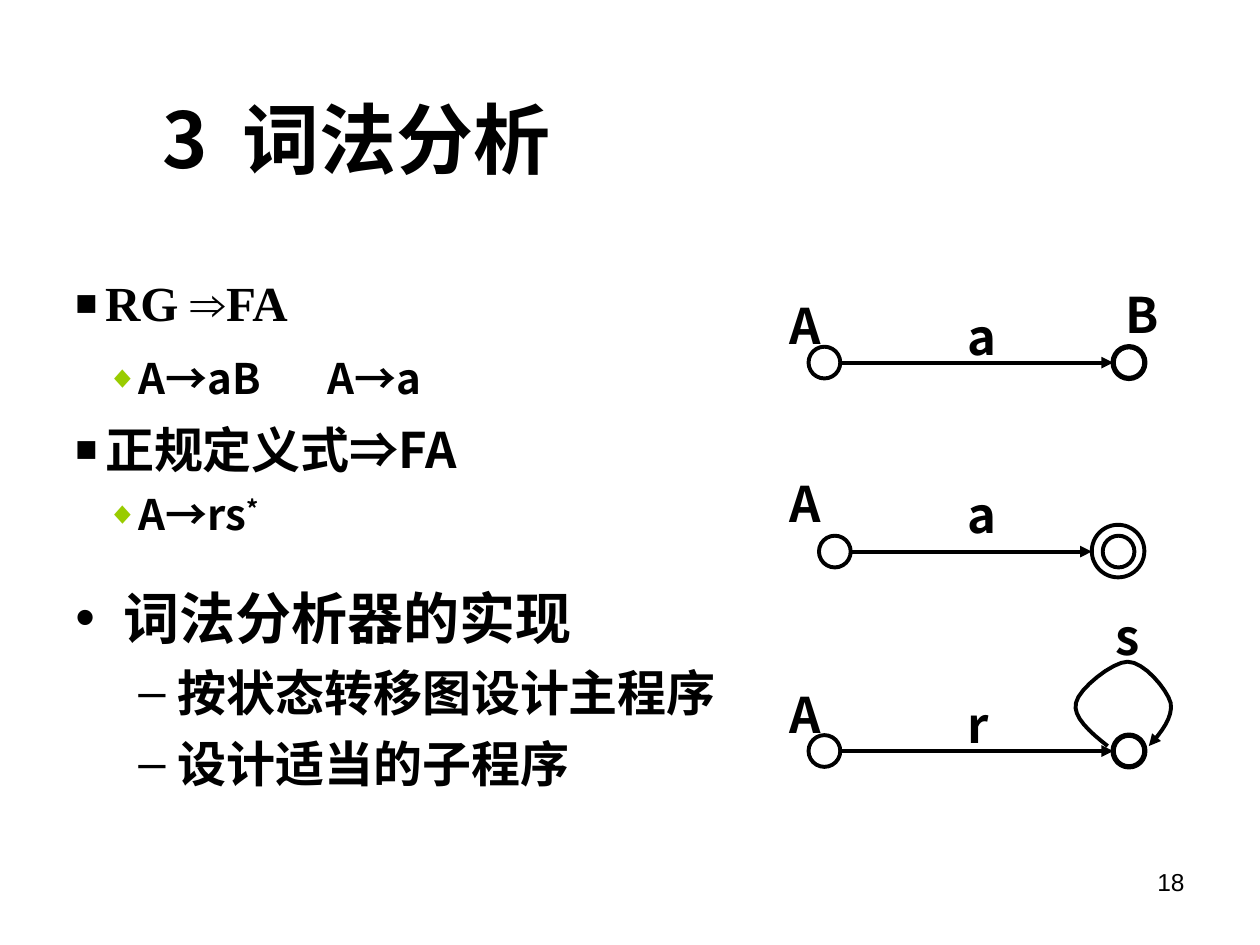
from lxml import etree
from pptx import Presentation
from pptx.dml.color import RGBColor
from pptx.enum.shapes import MSO_CONNECTOR, MSO_SHAPE
from pptx.enum.text import MSO_ANCHOR, MSO_AUTO_SIZE, PP_ALIGN
from pptx.oxml.ns import qn
from pptx.util import Cm, Pt

STRAIGHT = MSO_CONNECTOR.STRAIGHT
OVAL = MSO_SHAPE.OVAL
MIDDLE = MSO_ANCHOR.MIDDLE
GROW, FIXED = MSO_AUTO_SIZE.SHAPE_TO_FIT_TEXT, MSO_AUTO_SIZE.NONE
LEFT, CENTER, RIGHT = PP_ALIGN.LEFT, PP_ALIGN.CENTER, PP_ALIGN.RIGHT

COLOURS = {"ink": "000000", "diamond": "99CC00"}
JP, SC = "Noto Sans CJK JP", "Noto Sans CJK SC"
SERIF, SANS = "Times New Roman", "Arial"


def add_span(para, text, size, latin, asian, bold=True, **marks):
    span = para.add_run()
    span.text = text
    formats = {"size": Pt(size), "name": latin, "bold": bold}
    for name, value in formats.items():
        setattr(span.font, name, value)
    span.font.color.rgb = RGBColor.from_string(COLOURS["ink"])
    properties = span.font._element
    latin_tag = properties.find(qn("a:latin"))
    asian_tag = etree.Element(qn("a:ea"), typeface=asian)
    latin_tag.addnext(asian_tag)
    for name, value in marks.items():
        properties.set(name, value)


def draw_line(shape, width, arrow=False):
    shape.line.color.rgb = RGBColor.from_string(COLOURS["ink"])
    shape.line.width = Pt(width)
    if arrow:
        etree.SubElement(shape.line._get_or_add_ln(), qn("a:tailEnd"), type="triangle")


deck = Presentation()
deck.slide_width, deck.slide_height = Cm(25.4), Cm(19.05)
page = deck.slides.add_slide(deck.slide_layouts[5])

title = page.shapes.title
place = {"left": 1.27, "top": 2.01, "width": 11.84, "height": 1.55}
for name, value in place.items():
    setattr(title, name, Cm(value))
frame = title.text_frame
for name, value in {"word_wrap": True, "auto_size": FIXED, "vertical_anchor": MIDDLE}.items():
    setattr(frame, name, value)
frame.paragraphs[0].alignment = CENTER
add_span(frame.paragraphs[0], "3  词法分析", 44, JP, JP)

BULLETS = {
    "dot": ("•", "ink", 100, 0.97, -0.97),
    "dash": ("–", "ink", 100, 2.06, -0.79),
    "square": ("■", "ink", 75, 0.6, -0.6),
    "diamond": ("◆", "diamond", 75, 1.27, -0.64),
}
outlines = [
    (1.27, 11.63, 14.02, 6.15, 1, FIXED, [
        ("dot", 0, 0, [("词法分析器的实现", 32, JP, JP, {})]),
        ("dash", 1, 7, [("按状态转移图设计主程序", 28, JP, JP, {})]),
        ("dash", 1, 7, [("设计适当的子程序", 28, JP, JP, {})]),
    ]),
    (1.27, 8.46, 12.7, 2.57, 0.9, GROW, [
        ("square", 0, 0, [("正规定义式", 28, JP, JP, {}), ("⇒", 28, SANS, JP, {}),
                          ("FA", 28, SC, JP, {})]),
        ("diamond", 1, 9, [("A→rs", 24, SC, SC, {}),
                           ("*", 24, SC, SC, {"baseline": "30000"})]),
    ]),
    (1.27, 5.51, 12.7, 2.77, 0.9, GROW, [
        ("square", 0, 0, [("RG ", 28, SERIF, SERIF, {}), ("⇒", 28, SANS, SANS, {}),
                          ("FA", 28, SERIF, SERIF, {})]),
        ("diamond", 1, 15, [("A→aB", 24, SC, SC, {}), (" ", 24, SC, SC, {"spc": "3300"}),
                            ("A→a", 24, SC, SC, {})]),
    ]),
]
for left, top, width, height, spacing, sizing, rows in outlines:
    box = page.shapes.add_textbox(Cm(left), Cm(top), Cm(width), Cm(height))
    box.text_frame.word_wrap = True
    box.text_frame.auto_size = sizing
    for index, (bullet, level, before, spans) in enumerate(rows):
        para = box.text_frame.add_paragraph() if index else box.text_frame.paragraphs[0]
        formats = {"level": level, "alignment": LEFT, "line_spacing": spacing,
                   "space_before": Pt(before)}
        for name, value in formats.items():
            setattr(para, name, value)
        mark, colour, scale, margin, indent = BULLETS[bullet]
        properties = para._p.get_or_add_pPr()
        properties.set("marL", str(Cm(margin)))
        properties.set("indent", str(Cm(indent)))
        tint = etree.SubElement(properties, qn("a:buClr"))
        etree.SubElement(tint, qn("a:srgbClr"), val=COLOURS[colour])
        etree.SubElement(properties, qn("a:buSzPct"), val=str(scale * 1000))
        etree.SubElement(properties, qn("a:buFont"), typeface=SANS)
        etree.SubElement(properties, qn("a:buChar"), char=mark)
        for text, size, latin, asian, marks in spans:
            add_span(para, text, size, latin, asian, **marks)

STATE = 0.64
automata = [
    {"circles": [(16.3, 6.99, STATE, 2.25), (22.44, 6.99, STATE, 3)],
     "arrow": (16.94, 22.44, 7.31),
     "labels": [("A", 15.66, 5.72), ("B", 22.44, 5.5), ("a", 19.26, 5.93)]},
    {"circles": [(16.51, 10.8, STATE, 2.25), (22.23, 10.8, STATE, 2.25),
                 (22.01, 10.58, 1.06, 2.25)],
     "arrow": (17.15, 22.01, 11.12),
     "labels": [("A", 15.66, 9.31), ("a", 19.26, 9.53)]},
    {"circles": [(16.3, 14.82, STATE, 2.25), (22.44, 14.82, STATE, 3)],
     "arrow": (16.94, 22.44, 15.14),
     "labels": [("A", 15.66, 13.55), ("s", 22.23, 11.99), ("r", 19.26, 13.76)]},
]
for automaton in automata:
    group = page.shapes.add_group_shape()
    for left, top, size, weight in automaton["circles"]:
        circle = group.shapes.add_shape(OVAL, Cm(left), Cm(top), Cm(size), Cm(size))
        circle.shadow.inherit = False
        circle.fill.background()
        draw_line(circle, weight)
    start, end, height = automaton["arrow"]
    arrow = group.shapes.add_connector(STRAIGHT, Cm(start), Cm(height), Cm(end), Cm(height))
    draw_line(arrow, 2.25, arrow=True)
    etree.SubElement(arrow._element.spPr, qn("a:effectLst"))
    for text, left, top in automaton["labels"]:
        label = group.shapes.add_textbox(Cm(left), Cm(top), Cm(1.69), Cm(1.55))
        label.text_frame.word_wrap = True
        label.text_frame.auto_size = GROW
        label.text_frame.paragraphs[0].line_spacing = 1.1
        add_span(label.text_frame.paragraphs[0], text, 28, SC, SC)

STEPS = 8
loop_start = (22.33, 15.04)
loop_curves = [
    [(21.97, 14.76), (21.62, 14.45), (21.69, 14.17)],
    [(21.74, 13.89), (22.43, 13.34), (22.73, 13.34)],
    [(23.06, 13.34), (23.52, 13.89), (23.6, 14.17)],
    [(23.65, 14.45), (23.42, 14.76), (23.16, 15.04)],
]
points = []
corner = loop_start
for curve in loop_curves:
    controls = [corner, *curve]
    for step in range(1, STEPS + 1):
        t = step / STEPS
        weights = [(1 - t) ** 3, 3 * t * (1 - t) ** 2, 3 * t ** 2 * (1 - t), t ** 3]
        points.append(tuple(Cm(sum(w * c[axis] for w, c in zip(weights, controls)))
                            for axis in (0, 1)))
    corner = curve[-1]
builder = group.shapes.build_freeform(Cm(loop_start[0]), Cm(loop_start[1]))
builder.add_line_segments(points, close=False)
loop = builder.convert_to_shape()
loop.shadow.inherit = False
loop.fill.background()
draw_line(loop, 2.25, arrow=True)

number = page.shapes.add_textbox(Cm(18.2), Cm(17.35), Cm(5.93), Cm(1.32))
number.text_frame.word_wrap = True
number.text_frame.paragraphs[0].alignment = RIGHT
add_span(number.text_frame.paragraphs[0], "18", 14, SANS, SANS, bold=False)

deck.save("out.pptx")
